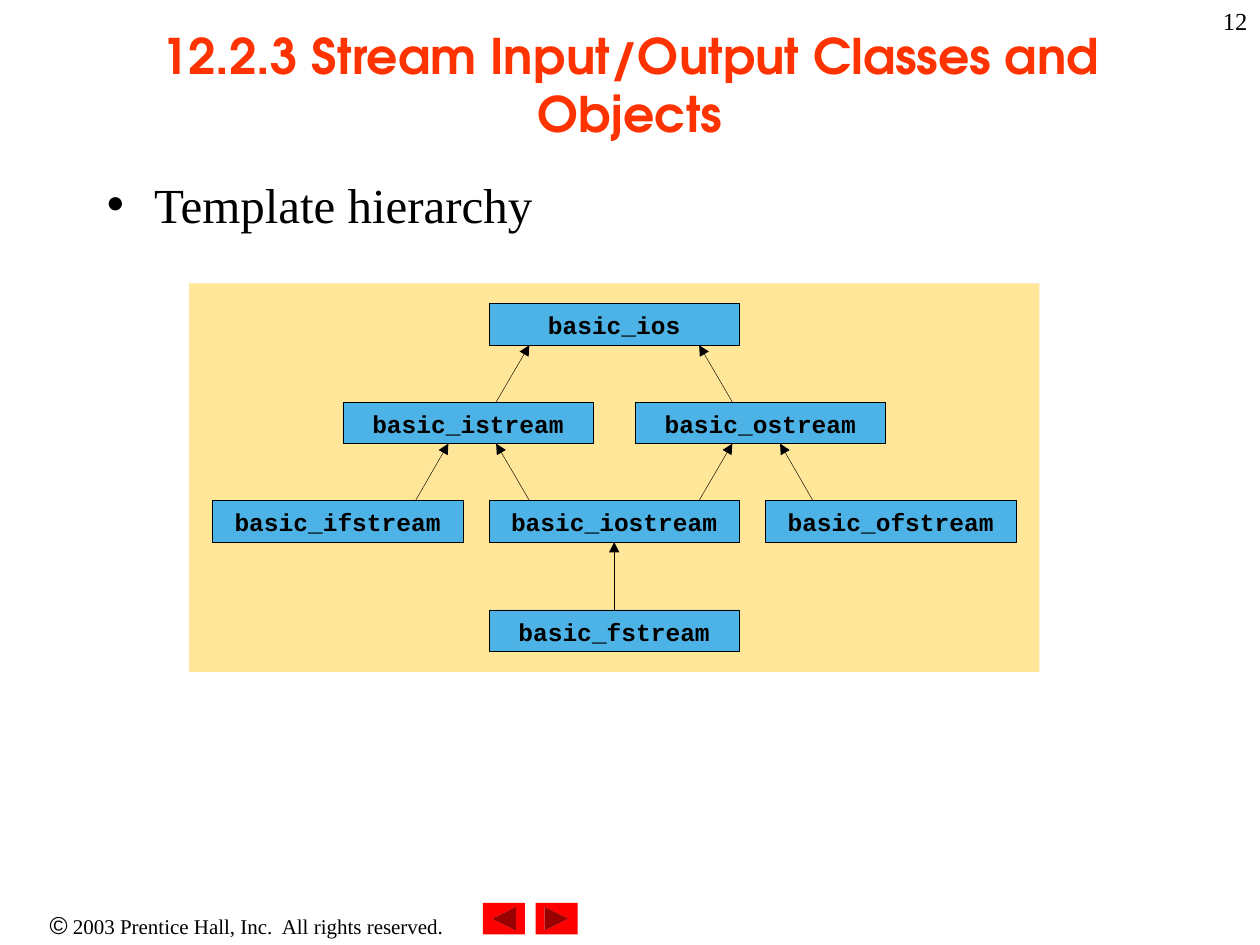
from pptx import Presentation
from pptx.dml.color import RGBColor
from pptx.enum.shapes import MSO_CONNECTOR as Link, MSO_SHAPE as Form
from pptx.enum.text import MSO_ANCHOR as Anchor, MSO_AUTO_SIZE as Auto, PP_ALIGN as Align
from pptx.oxml.ns import qn
from pptx.util import Pt
from lxml import etree

COLORS = {"ink": "000000", "title": "FF3300", "panel": "FFE699",
          "node": "4DB3E6", "button": "FF0000"}
SERIF, SANS, MONO, HEAD = "Times New Roman", "Arial", "Courier New", "TeX Gyre Adventor"


def rgb(name):
    return RGBColor.from_string(COLORS[name])


def write(frame, *runs, size=14, font=SERIF, color="ink", bold=False,
          align=Align.LEFT, anchor=Anchor.TOP, inset=(7.2, 3.6, 7.2, 3.6),
          space=None, bullet=None):
    """Fill a frame with one paragraph; a run is text or (text, size, font)."""
    frame.word_wrap = True
    frame.auto_size = Auto.NONE
    frame.vertical_anchor = anchor
    (frame.margin_left, frame.margin_top,
     frame.margin_right, frame.margin_bottom) = map(Pt, inset)
    para = frame.paragraphs[0]
    para.alignment = align
    para.space_before = Pt(0)
    if space:
        para.line_spacing = space
    if bullet:
        props = para._p.get_or_add_pPr()
        props.set("marL", str(Pt(27)))
        props.set("indent", str(-Pt(27)))
        etree.SubElement(props, qn("a:buFont"), typeface=SANS)
        etree.SubElement(props, qn("a:buChar"), char=bullet)
    for item in runs:
        text, pts, face = (item, size, font) if isinstance(item, str) else item
        run = para.add_run()
        run.text = text
        run.font.size, run.font.name, run.font.bold = Pt(pts), face, bold
        run.font.color.rgb = rgb(color)


class Deck:
    thin = 0.25

    def __init__(self, wide, high):
        self.file = Presentation()
        self.file.slide_width, self.file.slide_height = Pt(wide), Pt(high)
        self.slide = self.file.slides.add_slide(self.file.slide_layouts[5])
        self.shapes = self.slide.shapes

    def title(self, text, x, y, w, h):
        box = self.shapes.title
        box.left, box.top, box.width, box.height = map(Pt, (x, y, w, h))
        write(box.text_frame, text, size=28, font=HEAD, color="title",
              bold=True, align=Align.CENTER, anchor=Anchor.MIDDLE)

    def text(self, x, y, w, h, *runs, **style):
        box = self.shapes.add_textbox(*map(Pt, (x, y, w, h)))
        write(box.text_frame, *runs, **style)

    def shape(self, form, x, y, w, h, fill, line=None):
        item = self.shapes.add_shape(form, *map(Pt, (x, y, w, h)))
        item.shadow.inherit = False
        item.fill.solid()
        item.fill.fore_color.rgb = rgb(fill)
        if line:
            item.line.color.rgb = rgb(line)
            item.line.width = Pt(self.thin)
        else:
            item.line.fill.background()
        return item

    def node(self, text, x, y, w, h):
        item = self.shape(Form.RECTANGLE, x, y, w, h, "node", "ink")
        write(item.text_frame, text, font=MONO, bold=True, align=Align.CENTER,
              inset=(0, 5, 0, 0), space=0.96)
        return item

    def arrow(self, x1, y1, x2, y2):
        line = self.shapes.add_connector(Link.STRAIGHT, *map(Pt, (x1, y1, x2, y2)))
        line.line.color.rgb = rgb("ink")
        line.line.width = Pt(self.thin)
        etree.SubElement(line.line._get_or_add_ln(), qn("a:tailEnd"), type="triangle")
        etree.SubElement(line._element.spPr, qn("a:effectLst"))
        return line


def main():
    deck = Deck(720, 540)

    # Footer and navigation buttons
    deck.text(0, 516.25, 282, 24.5, ("©", 14, SANS),
              " 2003 Prentice Hall, Inc.\u00a0 All rights reserved.".replace("\u00a0", " "),
              size=12, align=Align.CENTER)
    for x, turn in ((306, 0), (276, 180)):
        key = deck.shape(Form.ACTION_BUTTON_FORWARD_OR_NEXT, x, 516, 24, 18, "button")
        key.rotation = turn

    # Title and bullet
    deck.title("12.2.3 Stream Input/Output Classes and Objects", 54, 6, 612, 84)
    deck.text(54, 96, 612, 414, "Template hierarchy", size=28, bullet="•")

    # Class boxes: offset from the middle axis, row
    deck.shape(Form.RECTANGLE, 108, 162, 486, 222, "panel")
    mid, wide, high = 351, 143, 23.75
    rows = (173.5, 229.75, 286, 348.5)
    tree = (("ios", 0, 0), ("istream", -83.5, 1), ("ostream", 83.5, 1),
            ("ifstream", -158, 2), ("iostream", 0, 2), ("ofstream", 158, 2),
            ("fstream", 0, 3))
    nodes = {name: deck.node("basic_" + name, mid + dx - wide / 2, rows[row], wide, high)
             for name, dx, row in tree}

    # Inheritance arrows, mirrored about the axis: child row, start, end
    for row, start, end in ((1, 67.5, 48.5), (2, 48.5, 67.5), (2, 113.5, 94.75)):
        for side in (-1, 1):
            deck.arrow(mid + side * start, rows[row],
                       mid + side * end, rows[row - 1] + high)
    stem = deck.arrow(mid, rows[3], mid, rows[2] + high)
    stem.begin_connect(nodes["fstream"], 0)
    stem.end_connect(nodes["iostream"], 2)

    # Page number
    deck.text(570, 0, 150, 36, "12", align=Align.RIGHT)

    deck.file.save("out.pptx")


if __name__ == "__main__":
    main()
